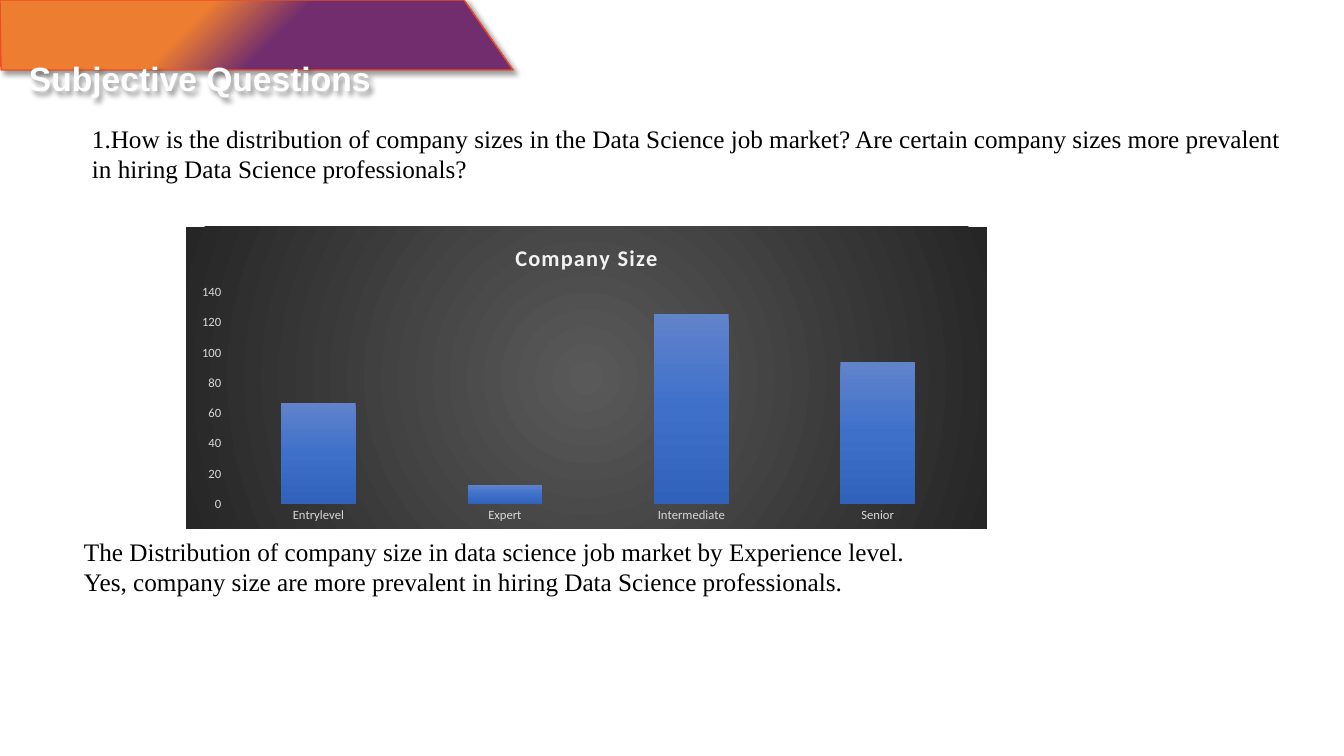
import pptx
import pptx.chart.data
import pptx.dml.color
import pptx.enum.chart
import pptx.oxml
import pptx.oxml.ns
import pptx.util

RGBColor = pptx.dml.color.RGBColor
Pt = pptx.util.Pt
PX = 914400 / 100.8  # EMU in one px

WHITE = RGBColor(0xFF, 0xFF, 0xFF)
BLACK = RGBColor(0, 0, 0)
RED = RGBColor(0xEF, 0x4C, 0x23)
PURPLE = RGBColor(0x72, 0x2D, 0x6E)
ORANGE = RGBColor(0xED, 0x7D, 0x31)
TITLE_GREY = RGBColor(0xF2, 0xF2, 0xF2)
AXIS_GREY = RGBColor(0xD9, 0xD9, 0xD9)
MID_GREY = RGBColor(0x59, 0x59, 0x59)
DARK_GREY = RGBColor(0x26, 0x26, 0x26)
BAR_TOP = RGBColor(0x61, 0x83, 0xCB)
BAR_MIDDLE = RGBColor(0x3E, 0x70, 0xCA)
BAR_BOTTOM = RGBColor(0x30, 0x62, 0xBB)

DRAWING = pptx.oxml.ns.nsdecls("a")
LINEAR = '<a:lin ang="5400000" scaled="0"/>'
CENTRE = '<a:path path="circle"><a:fillToRect l="50000" t="50000" r="50000" b="50000"/></a:path>'
CORNER = '<a:path path="circle"><a:fillToRect l="100000" t="100000"/></a:path>'


def emu(*lengths):
    return [round(length * PX) for length in lengths]


def add_gradient(properties, stops, direction):
    marks = "".join(f'<a:gs pos="{place * 1000}"><a:srgbClr val="{color}"/></a:gs>'
                    for place, color in stops)
    properties.append(pptx.oxml.parse_xml(
        f'<a:gradFill {DRAWING} rotWithShape="1"><a:gsLst>{marks}</a:gsLst>{direction}</a:gradFill>'))


def add_shadow(shape):
    shape._element.spPr.append(pptx.oxml.parse_xml(
        f'<a:effectLst {DRAWING}><a:outerShdw blurRad="50800" dist="38100" dir="2700000" algn="tl" '
        'rotWithShape="0"><a:srgbClr val="000000"><a:alpha val="40000"/></a:srgbClr>'
        '</a:outerShdw></a:effectLst>'))


def add_text(page, box, text, name, size, color, bold=False, inset=(10, 5)):
    shape = page.shapes.add_textbox(*emu(*box))
    frame = shape.text_frame
    frame.word_wrap = True
    frame.margin_left, frame.margin_top = emu(*inset)
    frame.margin_right, frame.margin_bottom = emu(*inset)
    frame.text = text
    for para in frame.paragraphs:
        for span in para.runs:
            span.font.name = name
            span.font.size = Pt(size)
            span.font.bold = bold
            span.font.color.rgb = color
    return shape


def add_header(page, box):
    left, top, width, height = box
    # Slanted banner
    outline = page.shapes.build_freeform(left, top, scale=PX)
    outline.add_line_segments([(left + width - 49, top), (left + width, top + height),
                               (left + 1, top + height)], close=True)
    banner = outline.convert_to_shape()
    add_gradient(banner._element.spPr, [(46, PURPLE), (63, ORANGE), (100, ORANGE)], CORNER)
    banner.line.color.rgb = RED
    banner.line.width = Pt(1)
    add_shadow(banner)
    # Heading over the banner's lower edge
    heading = add_text(page, (left + 29, top + 58, width - 39, 39), "Subjective Questions",
                       "Arial", 24, WHITE, bold=True, inset=(0, 0))
    add_shadow(heading)


def add_question(page, box):
    question = add_text(
        page, box, "How is the distribution of company sizes in the Data Science job market? "
        "Are certain company sizes more prevalent in hiring Data Science professionals?",
        "Times New Roman", 18, BLACK)
    numbering = question.text_frame.paragraphs[0]._p.get_or_add_pPr()
    numbering.set("marL", "0")
    numbering.set("indent", "0")
    numbering.append(pptx.oxml.parse_xml(f'<a:buAutoNum {DRAWING} type="arabicPeriod"/>'))


def add_size_chart(page, box):
    data = pptx.chart.data.CategoryChartData()
    data.categories = ["Entrylevel", "Expert", "Intermediate", "Senior"]
    data.add_series("Series 1", (67, 13, 126, 94))
    chart = page.shapes.add_chart(pptx.enum.chart.XL_CHART_TYPE.COLUMN_CLUSTERED,
                                  *emu(*box), data).chart
    chart.has_legend = False
    chart.font.name = "Calibri"
    chart.font.size = Pt(10)
    # Dark background
    background = pptx.oxml.parse_xml(f'<c:spPr {pptx.oxml.ns.nsdecls("c", "a")}/>')
    add_gradient(background, [(0, MID_GREY), (100, DARK_GREY)], CENTRE)
    background.append(pptx.oxml.parse_xml(f'<a:ln {DRAWING}><a:noFill/></a:ln>'))
    chart._chartSpace.chart.addnext(background)
    # Title
    chart.has_title = True
    title = chart.chart_title
    title.include_in_layout = False
    title.text_frame.text = "Company Size"
    span = title.text_frame.paragraphs[0].runs[0]
    span.font.name = "Calibri"
    span.font.size = Pt(16)
    span.font.bold = True
    span.font.color.rgb = TITLE_GREY
    span._r.get_or_add_rPr().set("spc", "100")
    # Axes
    for axis in (chart.category_axis, chart.value_axis):
        axis.has_major_gridlines = False
        axis.major_tick_mark = pptx.enum.chart.XL_TICK_MARK.NONE
        axis.format.line.fill.background()
        axis.tick_labels.font.name = "Calibri"
        axis.tick_labels.font.size = Pt(9)
        axis.tick_labels.font.color.rgb = AXIS_GREY
    chart.value_axis.minimum_scale = 0
    chart.value_axis.maximum_scale = 140
    chart.value_axis.major_unit = 20
    # Bars
    plot = chart.plots[0]
    plot.gap_width = 150
    plot.vary_by_categories = False
    bars = plot.series[0]
    bars.invert_if_negative = False
    add_gradient(bars._element.get_or_add_spPr(),
                 [(0, BAR_TOP), (50, BAR_MIDDLE), (100, BAR_BOTTOM)], LINEAR)


def add_answer(page, box):
    add_text(page, box,
             "The Distribution of company size in data science job market by Experience level.\n"
             "Yes, company size are more prevalent in hiring Data Science professionals.",
             "Times New Roman", 18, BLACK)


def main():
    deck = pptx.Presentation()
    deck.slide_width, deck.slide_height = emu(1344, 756)
    page = deck.slides.add_slide(deck.slide_layouts[6])
    add_header(page, (0, 0, 513, 70))
    add_question(page, (82, 118, 1233, 72))
    add_size_chart(page, (186, 227, 801, 302))
    add_answer(page, (74, 531, 1233, 72))
    deck.save("out.pptx")


if __name__ == "__main__":
    main()
